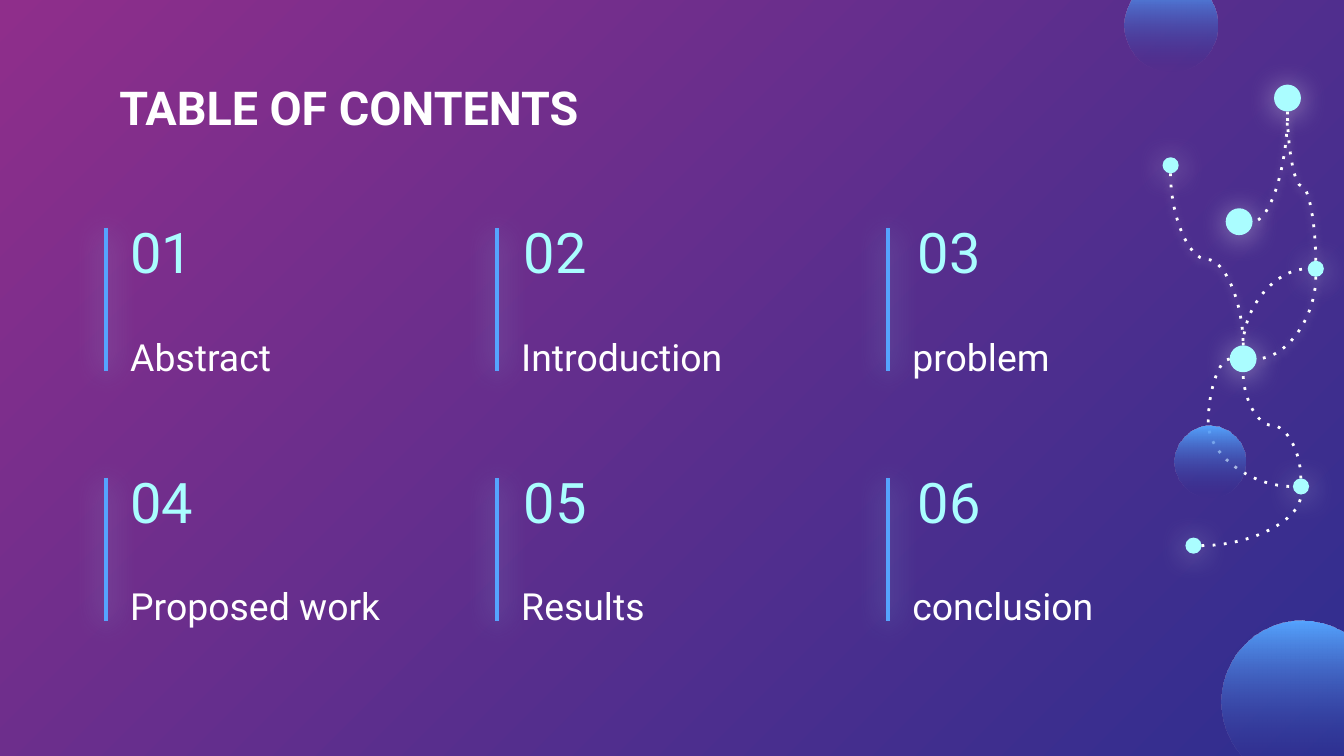
from lxml.etree import SubElement
from pptx import Presentation
from pptx.dml.color import RGBColor
from pptx.enum.shapes import MSO_CONNECTOR as Link, MSO_SHAPE as Preset
from pptx.enum.text import MSO_ANCHOR as Anchor
from pptx.oxml.ns import qn
from pptx.util import Inches, Pt

WHITE = RGBColor(0xFF, 0xFF, 0xFF)
AQUA = RGBColor(0xAA, 0xFD, 0xFF)
SKY = RGBColor(0x55, 0xA4, 0xFF)
INDIGO = RGBColor(0x2E, 0x2E, 0x8F)
MAGENTA = RGBColor(0x8F, 0x2E, 0x8B)
FONT = "Roboto"

HEADING = "TABLE OF CONTENTS"
SECTIONS = ["Abstract", "Introduction", "problem",
            "Proposed work", "Results", "conclusion"]
COLUMNS = 3
BAR_LEFT, BAR_TOP, BAR_HEIGHT = 0.79, 1.7, 1.06
TEXT_LEFT, NUMBER_TOP, LABEL_TOP = 0.87, 1.62, 2.35
COLUMN_STEP, NUMBER_STEP = 2.91, 2.93
ROW_STEP, LABEL_STEP = 1.86, 1.85

BIG, SMALL = 0.1, 0.06
DOTS = {
    "summit": (9.58, 0.73, BIG),
    "west": (8.71, 1.23, SMALL),
    "inner": (9.22, 1.65, BIG),
    "east": (9.79, 2, SMALL),
    "hub": (9.25, 2.67, BIG),
    "south": (9.68, 3.62, SMALL),
    "tail": (8.88, 4.06, SMALL),
}
SIDES = {"top": (0, -1), "left": (-1, 0), "bottom": (0, 1), "right": (1, 0)}
BEND, WAVE = "curvedConnector2", "curvedConnector3"
CURVES = [
    ("hub", "top", "east", "left", BEND, 270, False, 0),
    ("west", "bottom", "hub", "top", WAVE, 270, True, 4.5),
    ("east", "top", "summit", "bottom", WAVE, 90, True, 4.5),
    ("east", "bottom", "hub", "right", BEND, 90, False, 4.5),
    ("summit", "bottom", "inner", "right", BEND, 90, False, 4.5),
    ("hub", "left", "south", "left", WAVE, 0, False, 0),
    ("tail", "right", "south", "bottom", BEND, 180, True, 0),
    ("south", "top", "hub", "bottom", WAVE, 90, True, 0),
]
OUTWARD_BEND = -34000
SPHERES = [(8.37, -0.16, 0.69), (9.09, 4.62, 1.2), (8.74, 3.17, 0.53)]


def set_glow(shape, color=None, blur=0):
    effects = SubElement(shape._element.spPr, qn("a:effectLst"))
    if blur:
        shadow = SubElement(effects, qn("a:outerShdw"), blurRad=str(Pt(blur)),
                            dist=str(Pt(1.5)), dir="5400000",
                            algn="bl", rotWithShape="0")
        tint = SubElement(shadow, qn("a:srgbClr"), val=str(color))
        SubElement(tint, qn("a:alpha"), val="50000")


def set_gradient(fill, start, end, angle):
    fill.gradient()
    fill.gradient_angle = angle
    for stop, color, position in zip(fill.gradient_stops, (start, end), (0, 1)):
        stop.color.rgb = color
        stop.position = position


def add_text(slide, words, left, top, width, height, size, color,
             anchor=Anchor.TOP, bold=False):
    box = slide.shapes.add_textbox(*map(Inches, (left, top, width, height)))
    frame = box.text_frame
    frame.word_wrap = True
    frame.vertical_anchor = anchor
    frame.margin_left = frame.margin_right = Inches(0.1)
    frame.margin_top = frame.margin_bottom = Inches(0.1)
    paragraph = frame.paragraphs[0]
    paragraph.text = words
    font = paragraph.font
    font.name, font.size, font.bold = FONT, Pt(size), bold
    font.color.rgb = color


def add_line(slide, kind, start, end, color, width):
    line = slide.shapes.add_connector(kind, *map(Inches, (*start, *end)))
    line.line.color.rgb = color
    line.line.width = Pt(width)
    return line


def add_circle(slide, left, top, size):
    circle = slide.shapes.add_shape(
        Preset.OVAL, *map(Inches, (left, top, size, size)))
    circle.line.fill.background()
    return circle


def dot_side(dot, side):
    x, y, radius = DOTS[dot]
    dx, dy = SIDES[side]
    return x + dx * radius, y + dy * radius


def add_curve(slide, source, source_side, target, target_side,
              geometry, turn, flipped, blur):
    x1, y1 = dot_side(source, source_side)
    x2, y2 = dot_side(target, target_side)
    width, height = abs(x2 - x1), abs(y2 - y1)
    if turn % 180:
        width, height = height, width
    left, top = (x1 + x2 - width) / 2, (y1 + y2 - height) / 2
    curve = add_line(slide, Link.CURVE, (left, top),
                     (left + width, top + height), WHITE, 1.5)
    properties = curve._element.spPr
    frame = properties.find(qn("a:xfrm"))
    frame.set("rot", str(turn * 60000))
    if flipped:
        frame.set("flipH", "1")
    preset = properties.find(qn("a:prstGeom"))
    preset.set("prst", geometry)
    if source_side == target_side:
        SubElement(preset.find(qn("a:avLst")), qn("a:gd"),
                   name="adj1", fmla=f"val {OUTWARD_BEND}")
    SubElement(properties.find(qn("a:ln")), qn("a:prstDash"), val="dot")
    set_glow(curve, WHITE, blur)


def add_section(slide, index, label):
    row, column = divmod(index, COLUMNS)
    x, y = BAR_LEFT + column * COLUMN_STEP, BAR_TOP + row * ROW_STEP
    add_text(slide, f"{index + 1:02}", TEXT_LEFT + column * NUMBER_STEP,
             NUMBER_TOP + row * ROW_STEP, 1.12, 0.49, 30, AQUA, Anchor.MIDDLE)
    add_text(slide, label, TEXT_LEFT + column * COLUMN_STEP,
             LABEL_TOP + row * LABEL_STEP, 2.52, 0.57, 20, WHITE, Anchor.BOTTOM)
    bar = add_line(slide, Link.STRAIGHT, (x, y), (x, y + BAR_HEIGHT), SKY, 2.25)
    set_glow(bar, AQUA, 15.8)


def main():
    deck = Presentation()
    deck.slide_width = Inches(10)
    deck.slide_height = deck.slide_width * 9 // 16
    slide = deck.slides.add_slide(deck.slide_layouts[6])
    set_gradient(slide.background.fill, MAGENTA, INDIGO, 315)

    add_text(slide, HEADING, 0.79, 0.49, 8.43, 0.63, 25, WHITE, bold=True)
    for index, label in enumerate(SECTIONS):
        add_section(slide, index, label)

    for curve in CURVES:
        add_curve(slide, *curve)
    for x, y, radius in DOTS.values():
        dot = add_circle(slide, x - radius, y - radius, 2 * radius)
        dot.fill.solid()
        dot.fill.fore_color.rgb = AQUA
        set_glow(dot, WHITE, 15.8)
    for left, top, size in SPHERES:
        sphere = add_circle(slide, left, top, size)
        set_gradient(sphere.fill, SKY, INDIGO, 270)
        fade = list(sphere._element.spPr.iter(qn("a:srgbClr")))[-1]
        SubElement(fade, qn("a:alpha"), val="0")
        sphere.shadow.inherit = False

    deck.save("out.pptx")


if __name__ == "__main__":
    main()
